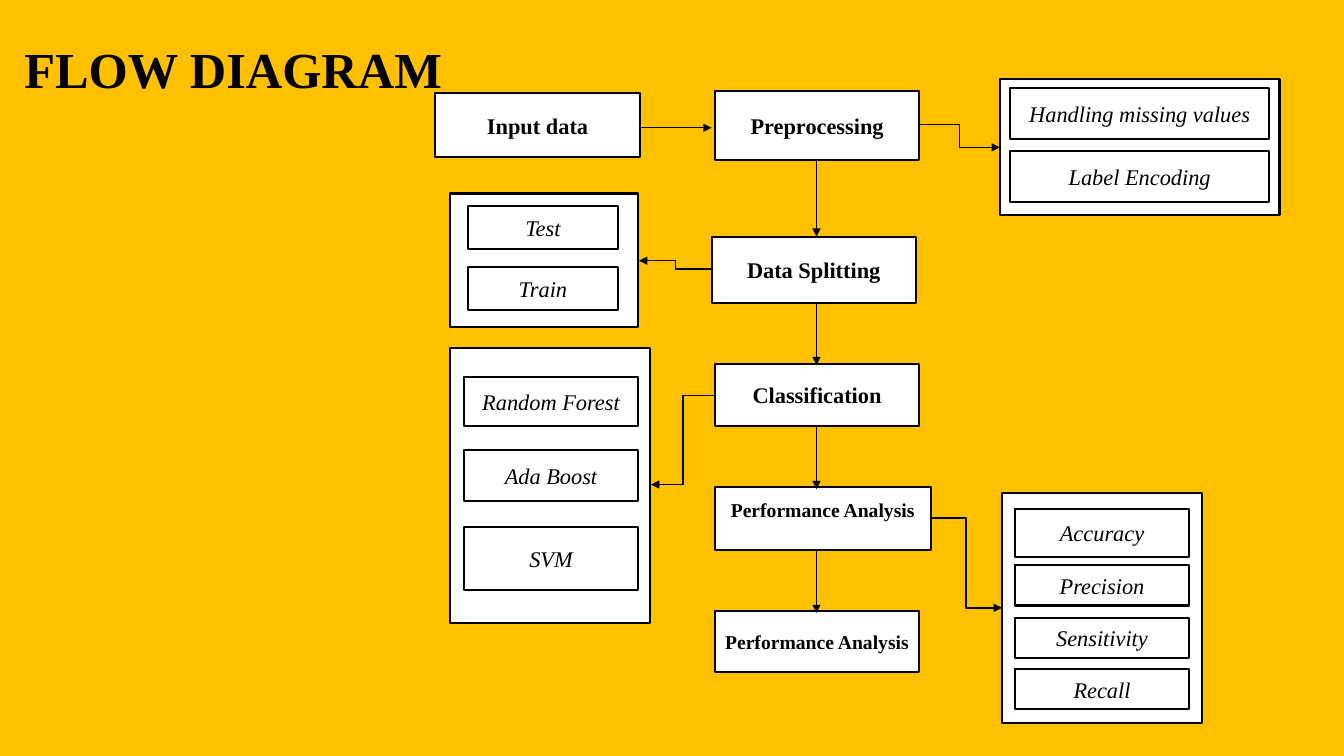
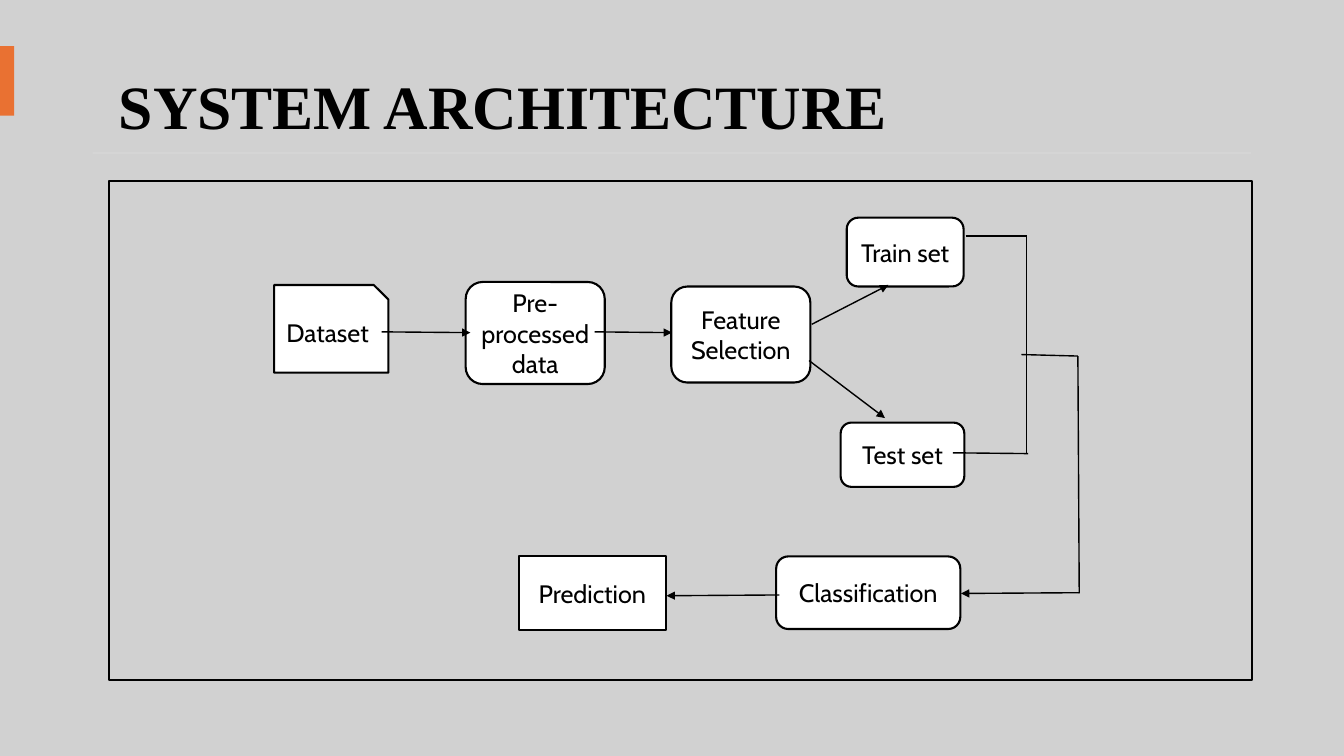
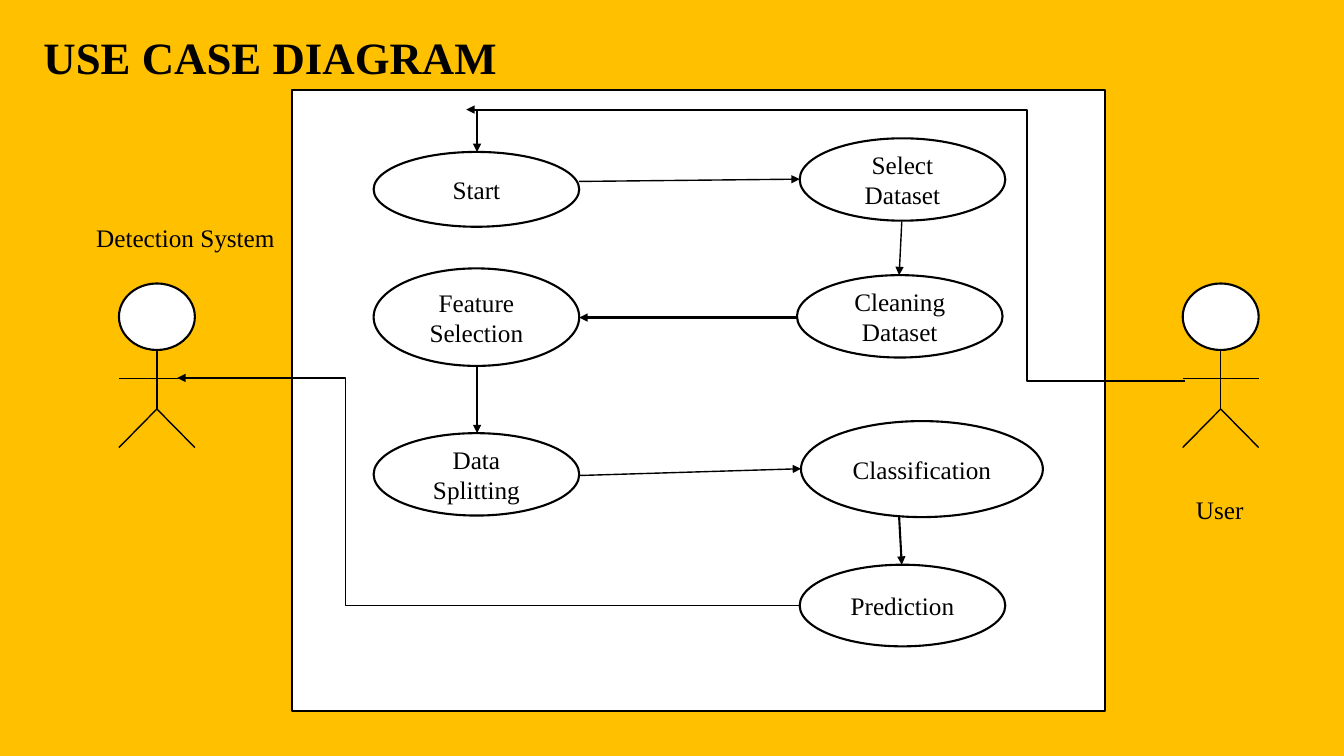
"""Build three project diagrams: flow, system architecture and use case."""
from dataclasses import dataclass

from lxml import etree
from pptx import Presentation
from pptx.dml.color import RGBColor
from pptx.enum.shapes import MSO_CONNECTOR as Link, MSO_SHAPE as Kind
from pptx.enum.text import MSO_ANCHOR as Anchor, PP_ALIGN as Align
from pptx.oxml.ns import qn
from pptx.util import Inches, Pt


@dataclass(frozen=True)
class Theme:
    width: int = Inches(13.33)
    height: int = Inches(7.5)
    serif: str = "Times New Roman"
    sans: str = "Cabin"
    amber: str = "FFC000"
    grey: str = "D1D1D1"
    rule: str = "D5D5D5"
    accent: str = "E97132"
    paper: str = "FFFFFF"
    ink: str = "000000"
    body: int = 18
    step: int = 16
    small: int = 14
    thick: float = 1.5
    thin: float = 1


T = Theme()


def across(share):
    return int(T.width * share / 100)


def down(share):
    return int(T.height * share / 100)


def frame(x, y, w, h):
    return across(x), down(y), across(w), down(h)


def new_slide(prs, color):
    s = prs.slides.add_slide(prs.slide_layouts[6])
    s.background.fill.solid()
    s.background.fill.fore_color.rgb = RGBColor.from_string(color)
    return s


def write(tf, text, size=T.body, font=T.serif, bold=False, italic=False,
          align=Align.CENTER, anchor=Anchor.MIDDLE, wrap=True):
    tf.text = text
    tf.word_wrap = wrap
    tf.vertical_anchor = anchor
    p = tf.paragraphs[0]
    p.alignment = align
    for r in p.runs:
        r.font.name = font
        r.font.size = Pt(size)
        r.font.bold = bold
        r.font.italic = italic
        r.font.color.rgb = RGBColor.from_string(T.ink)
    return p


def label(s, box, text, **style):
    sp = s.shapes.add_textbox(*frame(*box))
    return write(sp.text_frame, text, **style)


def title(s, box, text, size, align=Align.LEFT, anchor=Anchor.TOP):
    return label(s, box, text, size=size, bold=True, align=align, anchor=anchor)


def shape(s, box, kind=Kind.RECTANGLE, fill=T.paper, line=T.ink):
    sp = s.shapes.add_shape(kind, *frame(*box))
    sp.shadow.inherit = False
    if fill:
        sp.fill.solid()
        sp.fill.fore_color.rgb = RGBColor.from_string(fill)
    else:
        sp.fill.background()
    if line:
        sp.line.color.rgb = RGBColor.from_string(line)
        sp.line.width = Pt(T.thick)
    else:
        sp.line.fill.background()
    return sp


def node(s, box, text, kind=Kind.RECTANGLE, **style):
    sp = shape(s, box, kind)
    write(sp.text_frame, text, **style)
    return sp


def step(s, box, text, **style):
    sp = node(s, box, text, **{"size": T.step, **style})
    sp.text_frame.margin_left = sp.text_frame.margin_right = Inches(0.05)
    return sp


def panel(s, box, x, w, items):
    shape(s, box)
    for text, y, h in items:
        step(s, (x, y, w, h), text, italic=True)


def link(s, x1, y1, x2, y2, width=T.thin, head=True, bend=None):
    kind = Link.STRAIGHT if bend is None else Link.ELBOW
    c = s.shapes.add_connector(kind, across(x1), down(y1), across(x2), down(y2))
    c.line.color.rgb = RGBColor.from_string(T.ink)
    c.line.width = Pt(width)
    props = c._element.spPr
    if head:
        etree.SubElement(props.find(qn("a:ln")), qn("a:tailEnd"), type="triangle")
    if bend is not None:
        guides = props.find(qn("a:prstGeom")).find(qn("a:avLst"))
        etree.SubElement(guides, qn("a:gd"), name="adj1",
                         fmla=f"val {round(bend * 100000)}")
    etree.SubElement(props, qn("a:effectLst"))


def actor(s, x):
    w, top, neck, arms, hip, feet = 5.65, 37.5, 46.3, 50.1, 54.1, 59.2
    mid = x + w / 2
    shape(s, (x, top, w, neck - top), Kind.OVAL)
    for ends in ((mid, neck, mid, hip), (x, arms, x + w, arms),
                 (mid, hip, x, feet), (mid, hip, x + w, feet)):
        link(s, *ends, head=False)


def flow_diagram(prs):
    s = new_slide(prs, T.amber)
    title(s, (0, 4.4, 34.7, 9.5), "FLOW DIAGRAM", 36, Align.CENTER)
    left, w = 53.2, 15.2
    for box, text in (
        ((32.4, 12.3, w, 8.5), "Input data"),
        ((left, 12.1, w, 9.1), "Preprocessing"),
        ((52.95, 31.3, w, 8.8), "Data Splitting"),
        ((left, 48.1, w, 8.3), "Classification"),
    ):
        step(s, box, text, bold=True)
    analysis = step(s, (left, 64.4, 16.05, 8.3), "Performance Analysis",
                    size=T.small, bold=True)
    analysis.text_frame.margin_bottom = Inches(0.22)
    step(s, (left, 80.8, w, 8.1), "Performance Analysis", size=T.small, bold=True)

    panel(s, (74.4, 10.4, 20.8, 18.1), 75.15, 19.3,
          (("Handling missing values", 11.7, 6.7), ("Label Encoding", 20, 6.7)))
    panel(s, (33.5, 25.6, 14, 17.7), 34.8, 11.2,
          (("Test", 27.3, 5.7), ("Train", 35.3, 5.7)))
    panel(s, (33.5, 46, 14.9, 36.4), 34.5, 13,
          (("Random Forest", 49.9, 6.5), ("Ada Boost", 59.5, 6.8),
           ("SVM", 69.7, 8.3)))
    panel(s, (74.55, 65.2, 14.9, 30.4), 75.5, 13,
          (("Accuracy", 67.3, 6.4), ("Precision", 74.8, 5.3),
           ("Sensitivity", 81.7, 5.3), ("Recall", 88.5, 5.3)))

    link(s, 47.55, 16.9, 52.95, 16.9)
    for start, end in ((21.1, 31.3), (40, 48.3), (56.4, 64.7), (72.8, 81.1)):
        link(s, 60.75, start, 60.75, end)
    for ends in ((68.4, 16.5, 74.4, 19.5), (52.95, 35.6, 47.55, 34.5),
                 (53.2, 52.3, 48.45, 64.1), (69.2, 68.5, 74.55, 80.4)):
        link(s, *ends, bend=0.5)


def system_architecture(prs):
    s = new_slide(prs, T.grey)
    p = title(s, (8.1, 7.2, 85.05, 14.7), "SYSTEM ARCHITECTURE", 44,
              anchor=Anchor.MIDDLE)
    p.line_spacing = 0.9
    shape(s, (0, 6.1, 1.05, 9.2), fill=T.accent, line=None)
    shape(s, (6.9, 20.1, 86.2, 0.3), fill=T.rule, line=None)
    shape(s, (8.1, 24, 85.05, 65.9), fill=None)
    rounded = Kind.ROUNDED_RECTANGLE
    for box, text, kind in (
        ((20.4, 37.7, 8.5, 11.6), "Dataset", Kind.SNIP_1_RECTANGLE),
        ((34.65, 37.3, 10.35, 13.5), "Pre-processed data", rounded),
        ((49.95, 37.9, 10.35, 12.7), "Feature Selection", rounded),
        ((63, 28.8, 8.7, 9.1), "Train set", rounded),
        ((57.75, 73.6, 13.7, 9.6), "Classification", rounded),
        ((62.55, 55.9, 9.2, 8.5), "Test set", rounded),
        ((38.6, 73.6, 10.95, 9.7), "Prediction", Kind.RECTANGLE),
    ):
        node(s, box, text, kind, font=T.sans)
    for ends in ((28.4, 43.9, 35, 44), (44.25, 43.9, 50, 44),
                 (60.4, 42.9, 66.1, 37.7), (60.2, 47.7, 65.85, 55.3),
                 (80.3, 78.4, 71.5, 78.5), (58, 78.7, 49.6, 78.8)):
        link(s, *ends)
    for ends in ((71.85, 31.2, 76.4, 31.2), (76.5, 60, 70.9, 59.9),
                 (76.4, 31.2, 76.4, 59.9), (76, 46.9, 80.2, 47.1),
                 (80.2, 47.1, 80.3, 78.5)):
        link(s, *ends, head=False)


def use_case_diagram(prs):
    s = new_slide(prs, T.amber)
    shape(s, (21.75, 11.9, 60.5, 82.1))
    for x in (8.85, 88):
        actor(s, x)
    left, right, w = 27.8, 59.5, 15.3
    for box, text in (
        ((left, 20.1, w, 9.9), "Start"),
        ((right, 18.3, w, 10.9), "Select Dataset"),
        ((59.3, 36.4, w, 10.9), "Cleaning Dataset"),
        ((left, 35.5, w, 12.9), "Feature Selection"),
        ((left, 57.3, w, 10.9), "Data Splitting"),
        ((59.6, 55.7, 18, 12.7), "Classification"),
        ((right, 74.7, w, 10.8), "Prediction"),
    ):
        node(s, box, text, Kind.OVAL)
    for ends in ((43.1, 24, right, 23.7), (67.1, 29.3, 66.9, 36.4),
                 (43.1, 62.9, 59.6, 62)):
        link(s, *ends)
    for ends in ((59.3, 42, 43.1, 42), (35.5, 48.4, 35.5, 57.3),
                 (66.9, 68.4, 67.1, 74.7), (35.5, 14.5, 35.5, 20.1)):
        link(s, *ends, width=T.thick)
    link(s, 88.2, 50.4, 34.7, 14.5, width=T.thick, bend=0.22)
    link(s, right, 80.1, 13.2, 50, bend=0.73)
    label(s, (88.2, 64.8, 5.1, 5.3), "User", wrap=False)
    label(s, (6.1, 28.8, 15.4, 5.3), "Detection System", wrap=False)
    title(s, (2.5, 3.3, 36.4, 12.5), "USE CASE DIAGRAM", 32)


def main():
    prs = Presentation()
    prs.slide_width, prs.slide_height = T.width, T.height
    flow_diagram(prs)
    system_architecture(prs)
    use_case_diagram(prs)
    prs.save("out.pptx")


if __name__ == "__main__":
    main()
